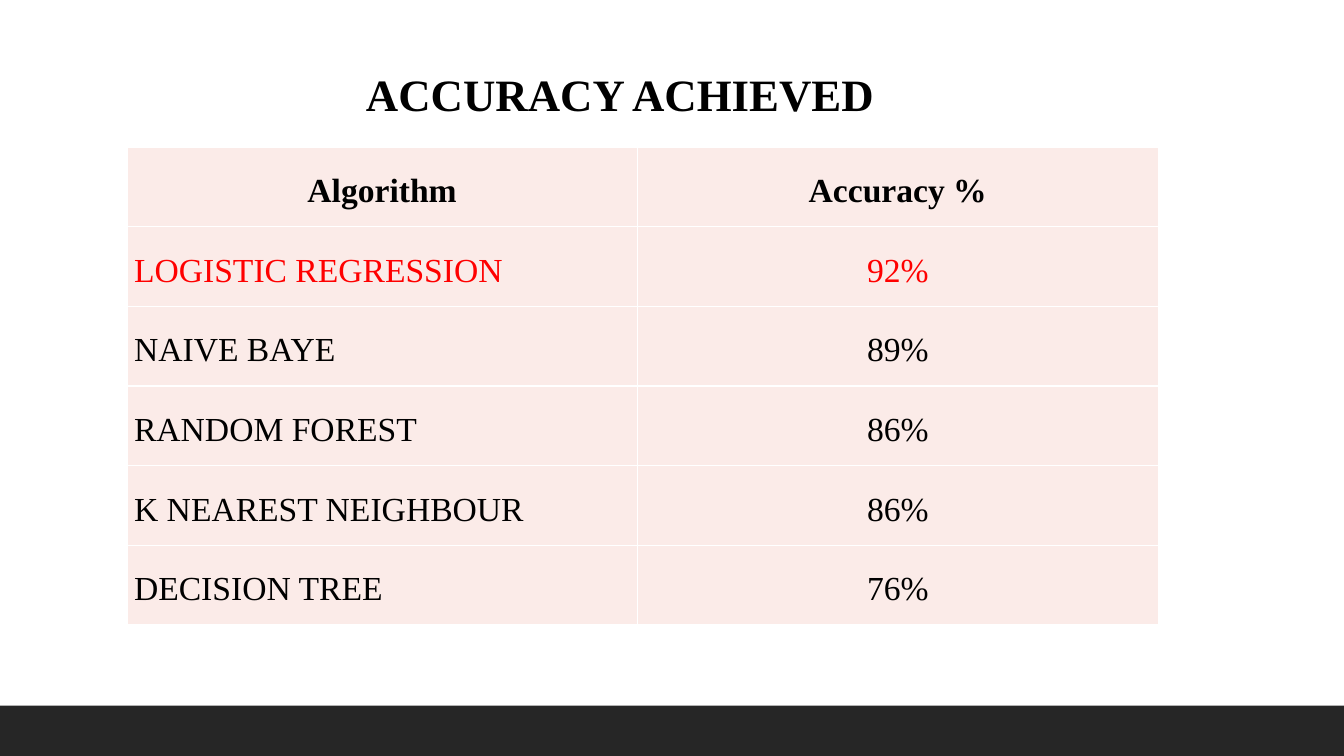
from pptx import Presentation
from pptx.dml.color import RGBColor
from pptx.enum.shapes import MSO_SHAPE as Shape
from pptx.enum.text import PP_ALIGN as Align
from pptx.util import Inches, Pt

COLORS = {"band": "262626", "cell": "FBEBE8", "text": "000000", "best": "FF0000"}
FONT = "Times New Roman"
ROWS = [
    ("Algorithm", "Accuracy %"),
    ("LOGISTIC REGRESSION", "92%"),
    ("NAIVE BAYE", "89%"),
    ("RANDOM FOREST", "86%"),
    ("K NEAREST NEIGHBOUR", "86%"),
    ("DECISION TREE", "76%"),
]
COLUMN_WIDTHS = [5.06, 5.17]
ROW_HEIGHT = 0.79
CELL_MARGIN = Inches(0.07)


def style_paragraph(paragraph, size, color, bold, alignment):
    paragraph.alignment = alignment
    paragraph.font.name = FONT
    paragraph.font.size = Pt(size)
    paragraph.font.bold = bold
    paragraph.font.color.rgb = RGBColor.from_string(COLORS[color])


presentation = Presentation()
presentation.slide_width = Inches(13.33)
presentation.slide_height = Inches(7.5)
slide = presentation.slides.add_slide(presentation.slide_layouts[6])

band_height = presentation.slide_height // 15
band = slide.shapes.add_shape(
    Shape.RECTANGLE, 0, presentation.slide_height - band_height,
    presentation.slide_width, band_height)
band.shadow.inherit = False
band.fill.solid()
band.fill.fore_color.rgb = RGBColor.from_string(COLORS["band"])
band.line.fill.background()

table = slide.shapes.add_table(
    len(ROWS), len(COLUMN_WIDTHS), Inches(1.26), Inches(1.46),
    Inches(sum(COLUMN_WIDTHS)), Inches(ROW_HEIGHT * len(ROWS))).table
table.first_row = False
table.horz_banding = False
for column, width in zip(table.columns, COLUMN_WIDTHS):
    column.width = Inches(width)

for row_index, values in enumerate(ROWS):
    table.rows[row_index].height = Inches(ROW_HEIGHT)
    is_header = row_index == 0
    color = "best" if row_index == 1 else "text"
    for column_index, value in enumerate(values):
        cell = table.cell(row_index, column_index)
        cell.fill.solid()
        cell.fill.fore_color.rgb = RGBColor.from_string(COLORS["cell"])
        cell.margin_left = cell.margin_right = CELL_MARGIN
        cell.margin_top = cell.margin_bottom = CELL_MARGIN
        cell.text = value
        paragraph = cell.text_frame.paragraphs[0]
        paragraph.line_spacing = 1.5
        alignment = Align.CENTER if is_header or column_index else Align.JUSTIFY
        style_paragraph(paragraph, 24, color, is_header, alignment)

title = slide.shapes.add_textbox(Inches(1.8), Inches(0.61), Inches(8.7), Inches(0.64))
title.text_frame.word_wrap = True
title.text_frame.text = "ACCURACY ACHIEVED"
style_paragraph(title.text_frame.paragraphs[0], 32, "text", True, Align.CENTER)

presentation.save("out.pptx")
